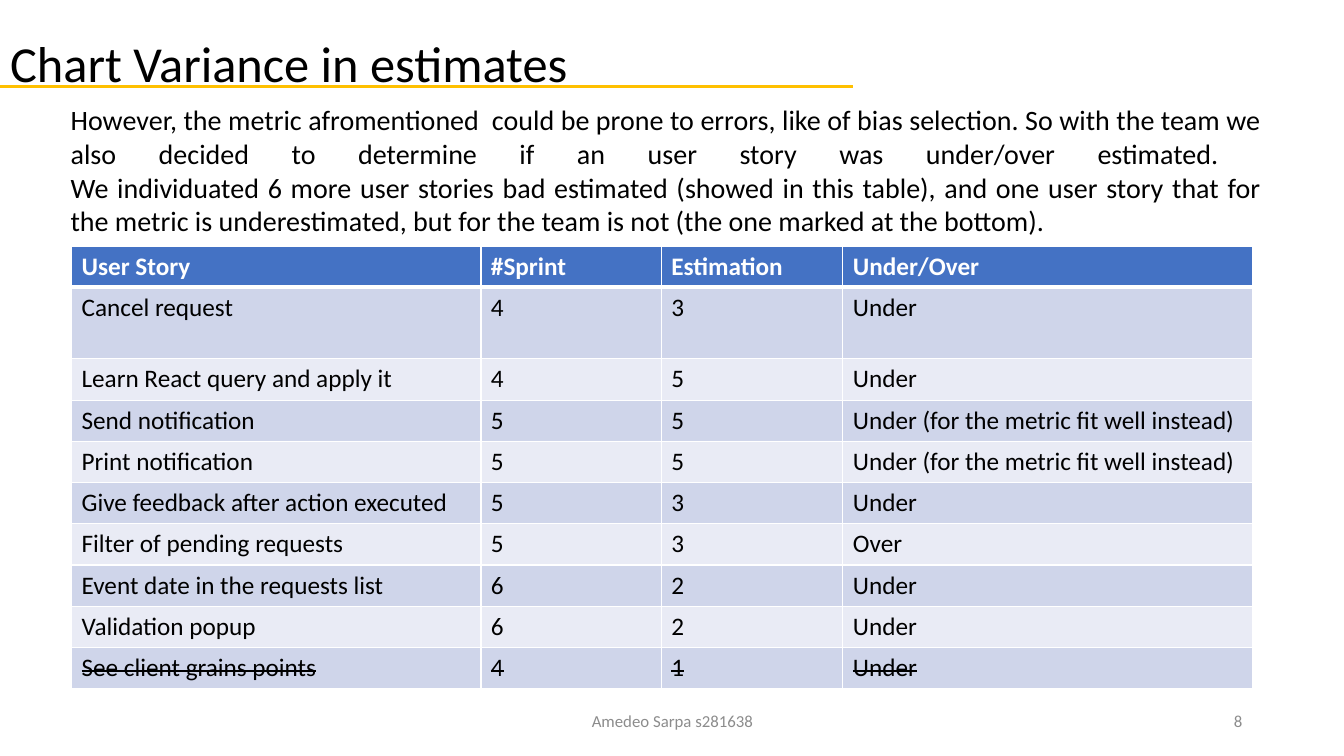
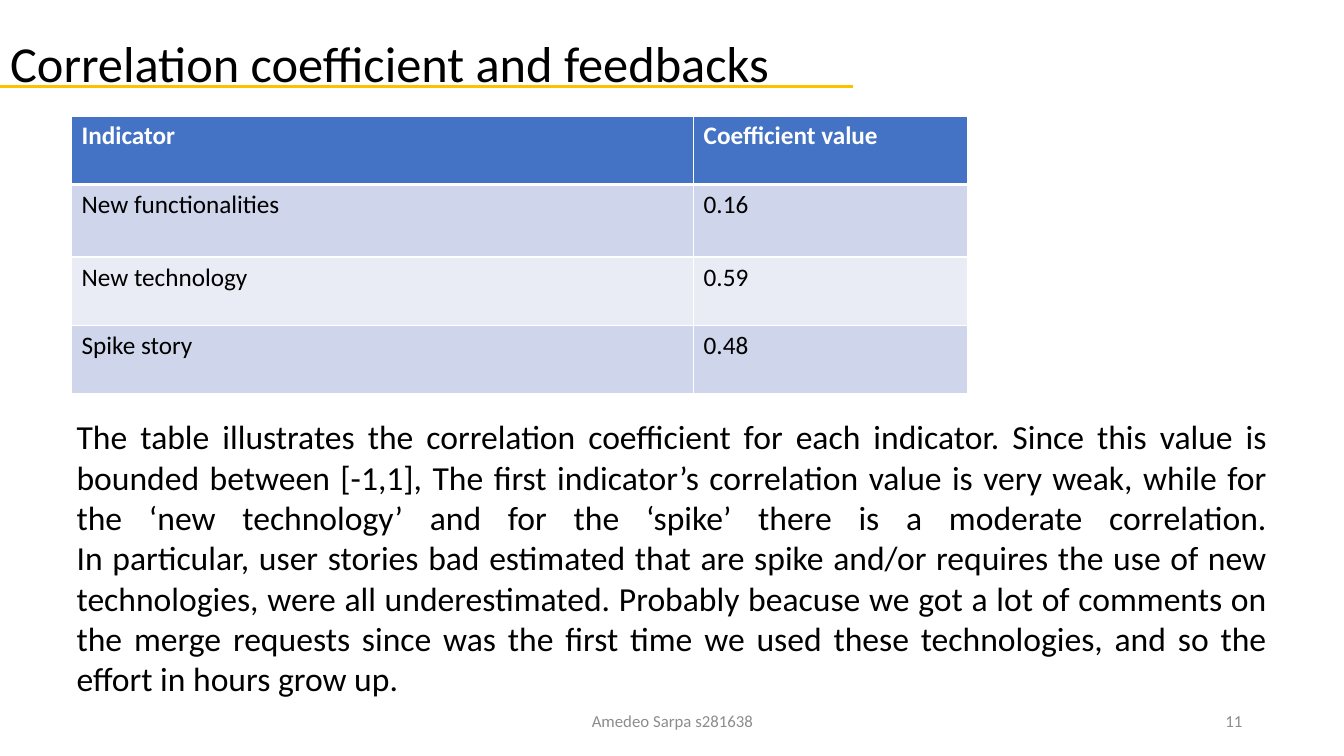
import pptx
import pptx.util
import pptx.dml.color
import pptx.enum.shapes
import pptx.enum.text
import pptx.oxml
import pptx.oxml.ns
import lxml.etree

Inches, Pt = pptx.util.Inches, pptx.util.Pt
RGBColor = pptx.dml.color.RGBColor
ALIGN, ANCHOR = pptx.enum.text.PP_ALIGN, pptx.enum.text.MSO_ANCHOR

# Shared look
FONT = "Calibri"
BLACK = RGBColor(0x00, 0x00, 0x00)
WHITE = RGBColor(0xFF, 0xFF, 0xFF)
GREY = RGBColor(0x8C, 0x8C, 0x8C)
GOLD = RGBColor(0xFF, 0xC0, 0x00)
HEADER_BLUE = RGBColor(0x44, 0x72, 0xC4)
BANDS = [RGBColor(0xE9, 0xEB, 0xF5), RGBColor(0xCF, 0xD5, 0xEA)]  # even rows, odd rows
FOOTER = "Amedeo Sarpa s281638"

# Content
pages = [
    {
        "title": "Chart Variance in estimates",
        "title_width": 5.79,
        "number": "8",
        "text": "However, the metric afromentioned  could be prone to errors, like of bias "
                "selection. So with the team we also decided to determine if an user story was "
                "under/over estimated. \vWe individuated 6 more user stories bad estimated "
                "(showed in this table), and one user story that for the metric is "
                "underestimated, but for the team is not (the one marked at the bottom).",
        "text_box": (0.6, 0.97, 12.01, 1.45),
        "text_size": 20,
        "table_top": 2.44,
        "columns": [4.06, 1.79, 1.8, 4.06],
        "heights": [0.41, 0.71] + [0.41] * 3 + [0.4] + [0.41] * 4,
        "rows": [
            ("User Story", "#Sprint", "Estimation", "Under/Over"),
            ("Cancel request", "4", "3", "Under"),
            ("Learn React query and apply it", "4", "5", "Under"),
            ("Send notification", "5", "5", "Under (for the metric fit well instead)"),
            ("Print notification", "5", "5", "Under (for the metric fit well instead)"),
            ("Give feedback after action executed", "5", "3", "Under"),
            ("Filter of pending requests", "5", "3", "Over"),
            ("Event date in the requests list", "6", "2", "Under"),
            ("Validation popup", "6", "2", "Under"),
            ("See client grains points", "4", "1", "Under"),
        ],
        "struck_row": 9,
    },
    {
        "title": "Correlation coefficient and feedbacks",
        "title_width": 8.18,
        "number": "11",
        "text": "The table illustrates the correlation coefficient for each indicator. Since "
                "this value is bounded between [-1,1], The first indicator’s correlation value "
                "is very weak, while for the ‘new technology’ and for the ‘spike’ there is a "
                "moderate correlation.\vIn particular, user stories bad estimated that are "
                "spike and/or requires the use of new technologies, were all underestimated. "
                "Probably beacuse we got a lot of comments on the merge requests since was the "
                "first time we used these technologies, and so the effort in hours grow up.",
        "text_box": (0.66, 4.08, 12.01, 2.93),
        "text_size": 24,
        "table_top": 1.15,
        "columns": [6.17, 2.72],
        "heights": [0.68, 0.72, 0.68, 0.68],
        "rows": [
            ("Indicator", "Coefficient value"),
            ("New functionalities", "0.16"),
            ("New technology", "0.59"),
            ("Spike story", "0.48"),
        ],
        "struck_row": None,
    },
]


def write(shape, box, text, size, color, align, anchor=ANCHOR.TOP, wrap=True):
    """Place a text shape and fill it with one formatted paragraph."""
    shape.left, shape.top, shape.width, shape.height = map(Inches, box)
    frame = shape.text_frame
    frame.word_wrap = wrap
    frame.auto_size = pptx.enum.text.MSO_AUTO_SIZE.NONE
    frame.vertical_anchor = anchor
    paragraph = frame.paragraphs[0]
    paragraph.text = text
    paragraph.alignment = align
    paragraph.space_before = Pt(0)
    paragraph.font.name = FONT
    paragraph.font.size = Pt(size)
    paragraph.font.color.rgb = color
    return paragraph


def border(cell, side, points):
    """Give one side of a table cell a white border."""
    cell._tc.get_or_add_tcPr().append(pptx.oxml.parse_xml(
        f'<a:{side} {pptx.oxml.ns.nsdecls("a")} w="{Pt(points)}">'
        f'<a:solidFill><a:srgbClr val="{WHITE}"/></a:solidFill></a:{side}>'))


prs = pptx.Presentation()
prs.slide_width, prs.slide_height = Inches(13.33), Inches(7.5)

for page in pages:
    slide = prs.slides.add_slide(prs.slide_layouts[1])
    shapes = slide.shapes

    # Title and the rule beneath it
    write(shapes.title, (0, 0.27, page["title_width"], 0.71), page["title"], 36, BLACK,
          ALIGN.LEFT, wrap=False)
    rule = shapes.add_connector(pptx.enum.shapes.MSO_CONNECTOR.STRAIGHT,
                                Inches(0), Inches(0.86), Inches(8.46), Inches(0.86))
    rule.line.color.rgb = GOLD
    rule.line.width = Pt(2.5)
    lxml.etree.SubElement(rule._element.spPr, pptx.oxml.ns.qn("a:effectLst"))

    # Explanation, without a bullet
    explanation = write(slide.placeholders[1], page["text_box"], page["text"],
                        page["text_size"], BLACK, ALIGN.JUSTIFY)
    settings = explanation._p.get_or_add_pPr()
    settings.set("marL", "0")
    settings.set("indent", "0")
    bullet_off = pptx.oxml.parse_xml(f'<a:buNone {pptx.oxml.ns.nsdecls("a")}/>')
    settings.find(pptx.oxml.ns.qn("a:defRPr")).addprevious(bullet_off)

    # Table
    columns, heights, rows = page["columns"], page["heights"], page["rows"]
    table = shapes.add_table(len(rows), len(columns), Inches(0.71), Inches(page["table_top"]),
                             Inches(sum(columns)), Inches(sum(heights))).table
    for column, width in zip(table.columns, columns):
        column.width = Inches(width)
    for r, values in enumerate(rows):
        table.rows[r].height = Inches(heights[r])
        for c, value in enumerate(values):
            cell = table.cell(r, c)
            border(cell, "lnL", 1)
            border(cell, "lnR", 1)
            border(cell, "lnT", 3 if r == 1 else 1)
            border(cell, "lnB", 3 if r == 0 else 1)
            cell.fill.solid()
            cell.fill.fore_color.rgb = BANDS[r % 2] if r else HEADER_BLUE
            entry = cell.text_frame.paragraphs[0]
            entry.text = value
            entry.font.name = FONT
            entry.font.size = Pt(18)
            entry.font.bold = r == 0
            entry.font.color.rgb = BLACK if r else WHITE
            if r == page["struck_row"]:
                entry.runs[0].font._element.set("strike", "sngStrike")

    # Footer and page number
    for box, text, align in [((4.42, 6.95, 4.5, 0.4), FOOTER, ALIGN.CENTER),
                             ((9.42, 6.95, 3, 0.4), page["number"], ALIGN.RIGHT)]:
        write(shapes.add_textbox(0, 0, 0, 0), box, text, 12, GREY, align, ANCHOR.MIDDLE)

prs.save("out.pptx")
